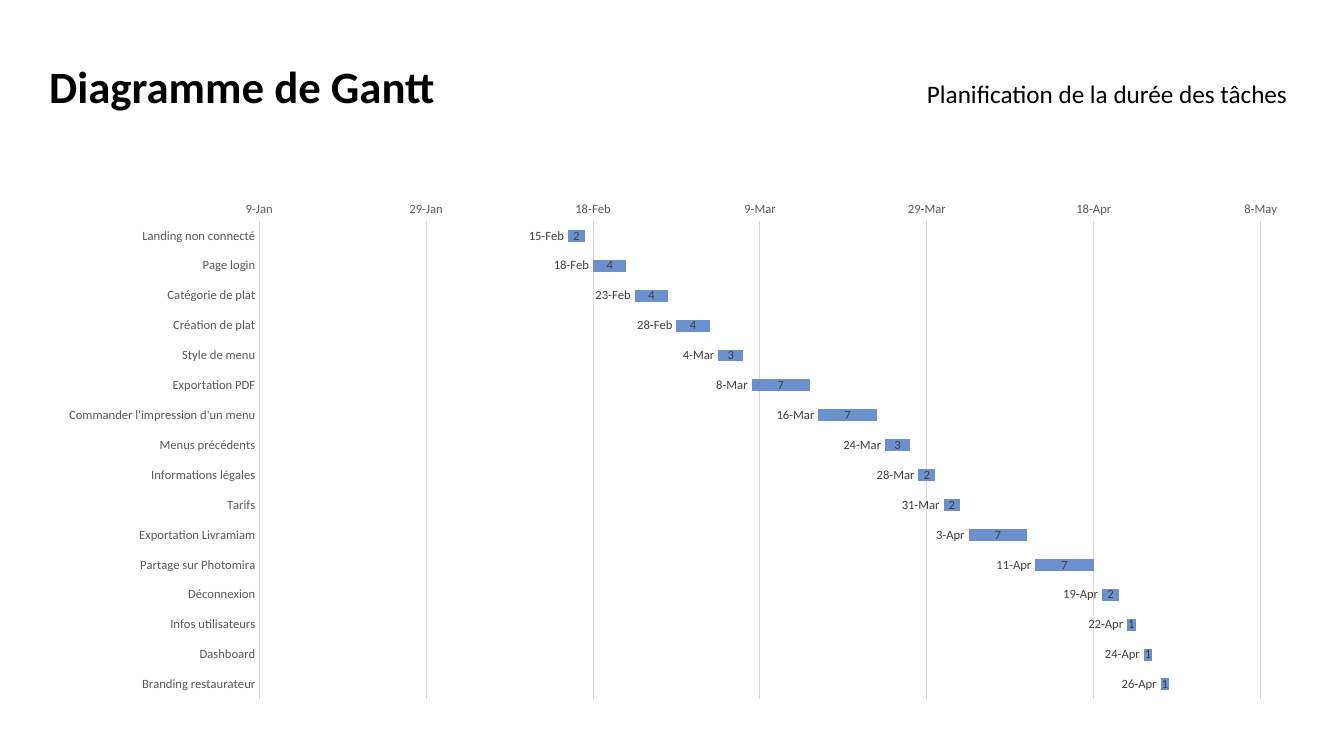
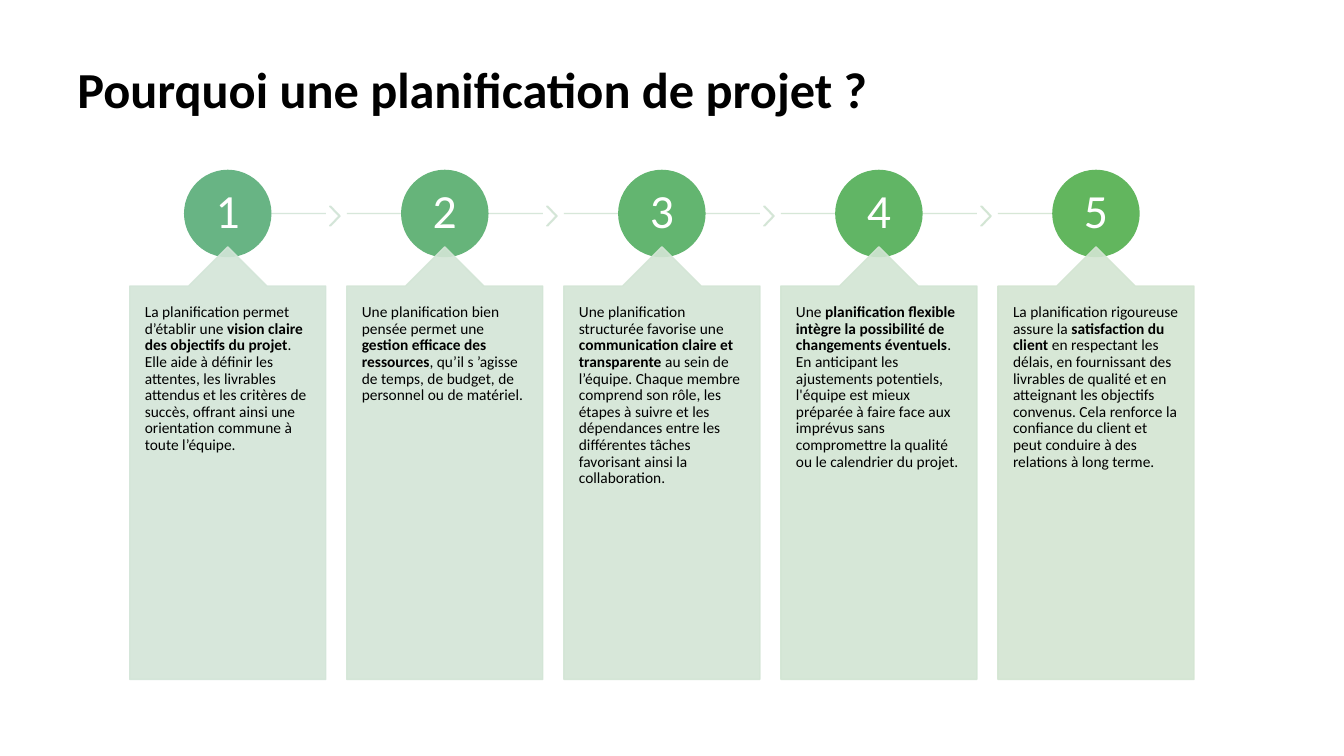
from dataclasses import dataclass
from lxml.etree import SubElement
from pptx import Presentation
from pptx.chart.data import CategoryChartData
from pptx.dml.color import RGBColor
from pptx.enum.chart import XL_CHART_TYPE, XL_LABEL_POSITION, XL_TICK_MARK
from pptx.enum.shapes import MSO_CONNECTOR, MSO_SHAPE
from pptx.enum.text import MSO_ANCHOR, PP_ALIGN
from pptx.oxml.ns import qn
from pptx.util import Cm, Pt


@dataclass(frozen=True)
class Theme:
    font: str = "Calibri"
    ink: str = "000000"
    white: str = "FFFFFF"
    grid: str = "D9D9D9"
    axis: str = "595959"
    label: str = "404040"
    bar: str = "6A90CE"
    discs: tuple = ("68B484", "66B47A", "63B570", "61B565", "62B65E")
    pales: tuple = ("D3E5D8", "D3E5D6", "D3E5D5", "D2E5D3", "D3E5D2")
    title: int = 36
    gantt: int = 32
    sub: int = 18
    digit: int = 34
    body: int = 11
    small: int = 9


THEME = Theme()

TASKS = (
    ("Landing non connecté", 45337, 2),
    ("Page login", 45340, 4),
    ("Catégorie de plat", 45345, 4),
    ("Création de plat", 45350, 4),
    ("Style de menu", 45355, 3),
    ("Exportation PDF", 45359, 7),
    ("Commander l'impression d'un menu", 45367, 7),
    ("Menus précédents", 45375, 3),
    ("Informations légales", 45379, 2),
    ("Tarifs", 45382, 2),
    ("Exportation Livramiam", 45385, 7),
    ("Partage sur Photomira", 45393, 7),
    ("Déconnexion", 45401, 2),
    ("Infos utilisateurs", 45404, 1),
    ("Dashboard", 45406, 1),
    ("Branding restaurateur", 45408, 1),
)

STEPS = (
    ("La planification permet d’établir une ",
     "vision claire des objectifs du projet",
     ". Elle aide à définir les attentes, les livrables attendus et les critères "
     "de succès, offrant ainsi une orientation commune à toute l’équipe."),
    ("Une planification bien pensée permet une ",
     "gestion efficace des ressources",
     ", qu’il s ’agisse de temps, de budget, de personnel ou de matériel."),
    ("Une planification structurée favorise une ",
     "communication claire et transparente ",
     "au sein de l’équipe. Chaque membre comprend son rôle, les étapes à suivre "
     "et les dépendances entre les différentes tâches favorisant ainsi la "
     "collaboration."),
    ("Une ",
     "planification flexible intègre la possibilité de changements éventuels",
     ". En anticipant les ajustements potentiels, l'équipe est mieux préparée à "
     "faire face aux imprévus sans compromettre la qualité ou le calendrier du "
     "projet."),
    ("La planification rigoureuse assure la ",
     "satisfaction du client ",
     "en respectant les délais, en fournissant des livrables de qualité et en "
     "atteignant les objectifs convenus. Cela renforce la confiance du client et "
     "peut conduire à des relations à long terme."),
)


def style(font, size, color=THEME.ink, bold=False):
    font.name = THEME.font
    font.size = Pt(size)
    font.bold = bold
    font.color.rgb = RGBColor.from_string(color)


def write(shape, text, size, color=THEME.ink, bold=False, align=PP_ALIGN.LEFT,
          anchor=MSO_ANCHOR.TOP, space=0.9, pad=None):
    frame = shape.text_frame
    frame.word_wrap = True
    frame.vertical_anchor = anchor
    if pad:
        frame.margin_left = frame.margin_right = Cm(pad[0])
        frame.margin_top = frame.margin_bottom = Cm(pad[1])
    para = frame.paragraphs[0]
    para.alignment = align
    para.line_spacing = space
    style(para.font, size, color, bold)
    for spot, part in enumerate(text):
        run = para.add_run()
        run.text = part
        if spot == 1:
            run.font.bold = True


def add_text(slide, box, text, size, **look):
    shape = slide.shapes.add_textbox(*map(Cm, box))
    write(shape, (text,), size, **look)


def add_title(slide, box, text, size, anchor=MSO_ANCHOR.TOP):
    add_text(slide, box, text, size, bold=True, anchor=anchor)


def fade(shape):
    for color in shape._element.spPr.iter(qn("a:srgbClr")):
        SubElement(color, qn("a:alpha"), val="90000")


def add_form(slide, kind, box, color, adjust=()):
    shape = slide.shapes.add_shape(kind, *map(Cm, box))
    shape.shadow.inherit = False
    shape.fill.solid()
    shape.fill.fore_color.rgb = RGBColor.from_string(color)
    shape.line.color.rgb = RGBColor.from_string(color)
    shape.line.width = Pt(1)
    for spot, value in enumerate(adjust):
        shape.adjustments[spot] = value
    return shape


def add_line(slide, left, right, top, color):
    line = slide.shapes.add_connector(
        MSO_CONNECTOR.STRAIGHT, Cm(left), Cm(top), Cm(right), Cm(top))
    line.line.color.rgb = RGBColor.from_string(color)
    line.line.width = Pt(1)
    SubElement(line._element.spPr, qn("a:effectLst"))
    fade(line)


def add_step(slide, index, text):
    wide, disc, mid = 4.94, 2.17, 5.38
    last = len(STEPS) - 1
    left = 3.27 + 5.47 * index
    center = left + wide / 2
    pale = THEME.pales[index]
    add_line(slide, left if index else center,
             left + wide if index < last else center, mid, pale)
    if index < last:
        arrow = add_form(slide, MSO_SHAPE.CHEVRON,
                         (left + 5.04, 5.2, 0.26, 0.49), pale, (0.9,))
        fade(arrow)
    circle = add_form(slide, MSO_SHAPE.OVAL,
                      (center - disc / 2, mid - disc / 2, disc, disc),
                      THEME.discs[index])
    write(circle, (str(index + 1),), THEME.digit, THEME.white,
          align=PP_ALIGN.CENTER, anchor=MSO_ANCHOR.MIDDLE, pad=(0.08, 0.08))
    card = add_form(slide, MSO_SHAPE.UP_ARROW_CALLOUT,
                    (left, 6.22, wide, 10.9), pale, (0.5, 0.2, 0.2, 1))
    fade(card)
    write(card, text, THEME.body, pad=(0.38, 0.46))


def set_plot(chart, **frame):
    area = chart._chartSpace.chart.plotArea
    for old in area.findall(qn("c:layout")):
        area.remove(old)
    layout = SubElement(area, qn("c:layout"))
    area.insert(0, layout)
    manual = SubElement(layout, qn("c:manualLayout"))
    marks = dict(layoutTarget="inner", xMode="edge", yMode="edge", **frame)
    for name, value in marks.items():
        SubElement(manual, qn("c:" + name), val=str(value))


def set_label(series, place, form):
    labels = series.data_labels
    labels.show_value = True
    labels.position = place
    labels.number_format = form
    labels.number_format_is_linked = False
    style(labels.font, THEME.small, THEME.label)


def set_axis(axis):
    axis.major_tick_mark = axis.minor_tick_mark = XL_TICK_MARK.NONE
    style(axis.tick_labels.font, THEME.small, THEME.axis)


def set_rule(line):
    line.color.rgb = RGBColor.from_string(THEME.grid)
    line.width = Pt(0.75)


def add_gantt(slide, box):
    dates = r"d\-mmm"
    names, starts, spans = zip(*TASKS)
    data = CategoryChartData()
    data.categories = names
    data.add_series("Series 1", starts)
    data.add_series("Series 2", spans)
    chart = slide.shapes.add_chart(
        XL_CHART_TYPE.BAR_STACKED, *map(Cm, box), data).chart
    chart.has_legend = chart.has_title = False
    style(chart.font, 10)
    set_plot(chart, x=0.17, y=0.06, w=0.8, h=0.92)

    tasks, days = chart.category_axis, chart.value_axis
    set_axis(tasks)
    set_axis(days)
    tasks.reverse_order = True
    tasks.has_major_gridlines = False
    set_rule(tasks.format.line)
    days.minimum_scale, days.maximum_scale, days.major_unit = 45300, 45420, 20
    days.tick_labels.number_format = dates
    days.tick_labels.number_format_is_linked = False
    days.has_major_gridlines = True
    set_rule(days.major_gridlines.format.line)
    days.format.line.fill.background()

    plot = chart.plots[0]
    plot.gap_width, plot.overlap = 150, 100
    plot.vary_by_categories = False
    start, span = plot.series
    start.format.fill.background()
    set_label(start, XL_LABEL_POSITION.INSIDE_END, dates)
    span.format.fill.solid()
    span.format.fill.fore_color.rgb = RGBColor.from_string(THEME.bar)
    set_label(span, XL_LABEL_POSITION.CENTER, "General")


def main():
    deck = Presentation()
    deck.slide_width, deck.slide_height = Cm(33.87), Cm(19.05)
    blank = deck.slide_layouts[6]

    slide = deck.slides.add_slide(blank)
    add_title(slide, (0.99, 0.71, 20.35, 2.26), "Diagramme de Gantt",
              THEME.gantt, MSO_ANCHOR.BOTTOM)
    add_text(slide, (21.59, 0.84, 11.1, 2.03),
             "Planification de la durée des tâches", THEME.sub,
             align=PP_ALIGN.RIGHT, anchor=MSO_ANCHOR.BOTTOM, space=1.2)
    add_gantt(slide, (1.17, 4.78, 31.55, 13.11))

    slide = deck.slides.add_slide(blank)
    add_title(slide, (1.7, 1.52, 29.59, 3.15),
              "Pourquoi une planification de projet ?", THEME.title)
    for index, text in enumerate(STEPS):
        add_step(slide, index, text)

    deck.save("out.pptx")


if __name__ == "__main__":
    main()
